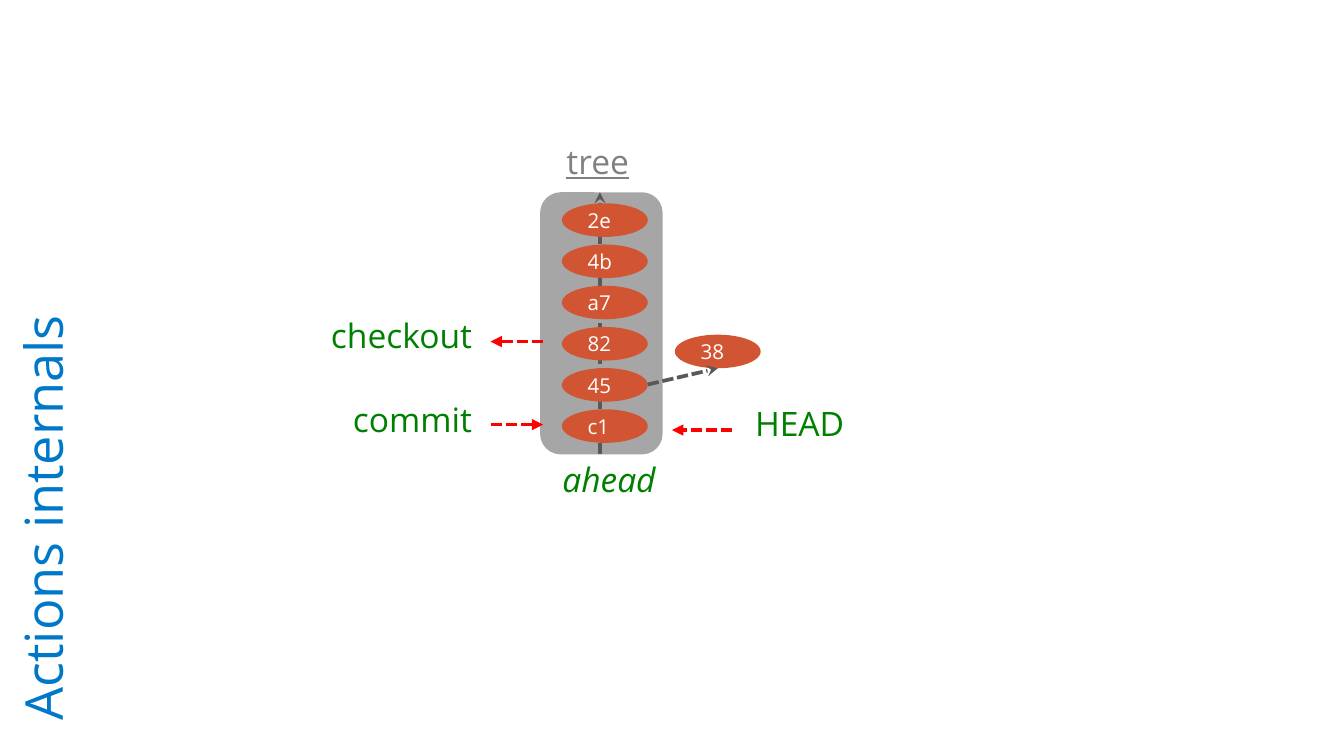
from dataclasses import dataclass

import pptx
import pptx.util
import pptx.dml.color
import pptx.enum.dml
import pptx.enum.shapes
import pptx.enum.text
import pptx.oxml
import pptx.oxml.ns

Pt = pptx.util.Pt
RGBColor = pptx.dml.color.RGBColor
Kind = pptx.enum.shapes.MSO_SHAPE
Align = pptx.enum.text.PP_ALIGN
Anchor = pptx.enum.text.MSO_ANCHOR
Fit = pptx.enum.text.MSO_AUTO_SIZE

FONT = "Open Sans"
BLUE = RGBColor(0x00, 0x78, 0xC9)
GREEN = RGBColor(0x00, 0x80, 0x00)
GRAY = RGBColor(0x80, 0x80, 0x80)
SILVER = RGBColor(0xA6, 0xA6, 0xA6)
DARK = RGBColor(0x59, 0x59, 0x59)
RUST = RGBColor(0xD2, 0x55, 0x33)
RED = RGBColor(0xFF, 0x00, 0x00)
WHITE = RGBColor(0xFF, 0xFF, 0xFF)

NODE_W, NODE_H = 46, 18
NODE_X, NODE_Y, STEP = 301, 108.9, 22.08


@dataclass
class Label:
    text: str
    x: float
    y: float
    w: float
    align: Align
    color: RGBColor = GREEN
    italic: bool = False
    under: bool = False


@dataclass
class Arrow:
    x1: float
    y1: float
    x2: float
    y2: float
    color: RGBColor = RED
    head: str = "triangle"


@dataclass
class Node:
    text: str
    x: float
    y: float


SPINE = Arrow(321.4, 243.4, 321.4, 103, DARK, "stealth")
BRANCH = Arrow(347, 206, 384.5, 197.3, DARK, "stealth")
MARKS = [
    Arrow(291, 183, 262.8, 183),
    Arrow(392.4, 230.4, 360, 230.4),
    Arrow(262.8, 227.5, 291, 227.5),
]
LABELS = [
    Label("HEAD", 397.4, 212.4, 63.4, Align.LEFT),
    Label("commit", 170, 210, 90, Align.RIGHT),
    Label("tree", 290, 72, 60.5, Align.CENTER, GRAY, under=True),
    Label("checkout", 157.7, 165.3, 102.3, Align.RIGHT),
    Label("ahead", 291, 242.5, 70.5, Align.CENTER, italic=True),
]
CHAIN = [
    Node(text, NODE_X, NODE_Y + row * STEP)
    for row, text in enumerate(["2e", "4b", "a7", "82", "45", "c1"])
]
SIDE = Node("38", 361.5, 179.3)


def write(frame, text: str, *, size: float, color: RGBColor,
          align: Align = Align.LEFT, anchor: Anchor = Anchor.TOP,
          fit: Fit = Fit.NONE, italic: bool = False,
          under: bool = False) -> None:
    frame.word_wrap = True
    frame.auto_size = fit
    frame.vertical_anchor = anchor
    para = frame.paragraphs[0]
    para.alignment = align
    run = para.add_run()
    run.text = text
    font = run.font
    font.name = FONT
    font.size = Pt(size)
    font.color.rgb = color
    font.italic = italic
    font.underline = under


def add_solid(slide, kind: Kind, x: float, y: float, w: float, h: float,
              color: RGBColor):
    shape = slide.shapes.add_shape(kind, Pt(x), Pt(y), Pt(w), Pt(h))
    shape.shadow.inherit = False
    shape.fill.solid()
    shape.fill.fore_color.rgb = color
    shape.line.fill.background()
    return shape


def add_node(slide, node: Node) -> None:
    shape = add_solid(slide, Kind.OVAL, node.x, node.y, NODE_W, NODE_H, RUST)
    write(shape.text_frame, node.text, size=11, color=WHITE,
          anchor=Anchor.MIDDLE)


def add_label(slide, label: Label) -> None:
    box = slide.shapes.add_textbox(Pt(label.x), Pt(label.y), Pt(label.w), Pt(29))
    write(box.text_frame, label.text, size=18, color=label.color,
          align=label.align, fit=Fit.SHAPE_TO_FIT_TEXT,
          italic=label.italic, under=label.under)


def add_arrow(slide, arrow: Arrow) -> None:
    link = slide.shapes.add_connector(
        pptx.enum.shapes.MSO_CONNECTOR.STRAIGHT,
        Pt(arrow.x1), Pt(arrow.y1), Pt(arrow.x2), Pt(arrow.y2))
    link.line.color.rgb = arrow.color
    link.line.width = Pt(2)
    link.line.dash_style = pptx.enum.dml.MSO_LINE.SQUARE_DOT
    space = pptx.oxml.ns.nsdecls("a")
    link.line._get_or_add_ln().append(
        pptx.oxml.parse_xml(f'<a:tailEnd {space} type="{arrow.head}"/>'))
    link._element.spPr.append(
        pptx.oxml.parse_xml(f"<a:effectLst {space}/>"))


def set_title(slide, text: str) -> None:
    title = slide.shapes.title
    title.left, title.top = Pt(-164), Pt(181.4)
    title.width, title.height = Pt(373), Pt(36)
    title.rotation = 270
    frame = title.text_frame
    frame.margin_left = frame.margin_right = Pt(0)
    frame.margin_top = frame.margin_bottom = Pt(0)
    write(frame, text, size=28, color=BLUE, anchor=Anchor.MIDDLE)


def main() -> None:
    deck = pptx.Presentation()
    deck.slide_width, deck.slide_height = Pt(720), Pt(405)
    slide = deck.slides.add_slide(deck.slide_layouts[5])
    set_title(slide, "Actions internals")
    add_solid(slide, Kind.ROUNDED_RECTANGLE, 289.4, 103, 65.6, 140.4, SILVER)
    add_arrow(slide, SPINE)
    for node in CHAIN:
        add_node(slide, node)
    for label in LABELS:
        add_label(slide, label)
    for mark in MARKS:
        add_arrow(slide, mark)
    add_node(slide, SIDE)
    add_arrow(slide, BRANCH)
    deck.save("out.pptx")


if __name__ == "__main__":
    main()
